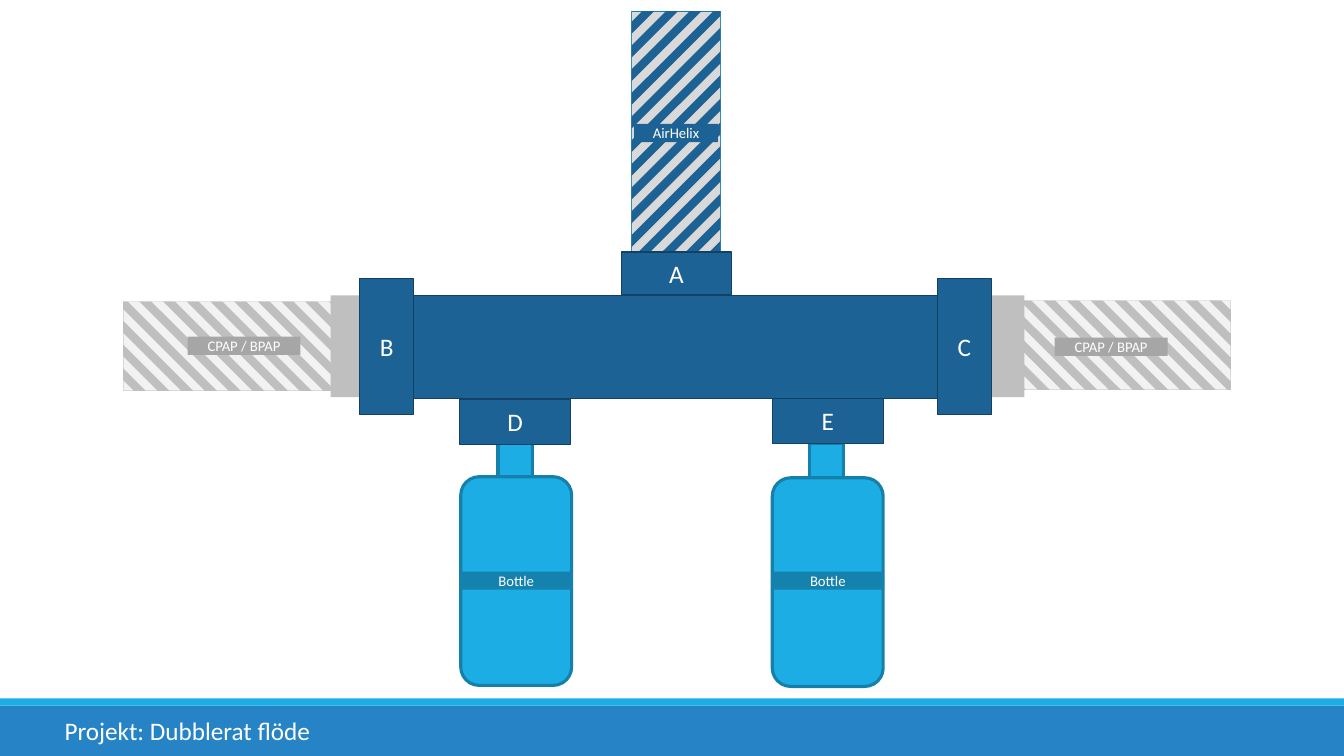
from lxml.etree import SubElement
from pptx import Presentation
from pptx.dml.color import RGBColor
from pptx.enum.shapes import MSO_CONNECTOR, MSO_SHAPE
from pptx.enum.text import MSO_ANCHOR, PP_ALIGN
from pptx.oxml.ns import qn
from pptx.util import Inches, Pt

COLORS = {
    "white": "FFFFFF", "bar": "2683C6", "sky": "1CADE4", "rim": "1580A9",
    "tag": "1482AC", "navy": "1D6294", "edge": "134163", "pale": "F2F2F2",
    "light": "D9D9D9", "gray": "BFBFBF", "dark": "A6A6A6",
}

deck = Presentation()
deck.slide_width = Inches(13.33)
deck.slide_height = Inches(7.5)
slide = deck.slides.add_slide(deck.slide_layouts[6])


def write(frame, text, size=18, align=PP_ALIGN.CENTER, wrap=True):
    frame.word_wrap = wrap
    frame.vertical_anchor = MSO_ANCHOR.MIDDLE
    frame.margin_left = frame.margin_right = 0
    frame.margin_top = frame.margin_bottom = 0
    para = frame.paragraphs[0]
    para.alignment = align
    run = para.add_run()
    run.text = text
    run.font.name = "Calibri"
    run.font.size = Pt(size)
    run.font.color.rgb = RGBColor.from_string(COLORS["white"])


def block(box, fill, line=None, width=0.75, kind=MSO_SHAPE.RECTANGLE):
    shape = slide.shapes.add_shape(kind, *[Inches(v) for v in box])
    shape.shadow.inherit = False
    shape.fill.solid()
    shape.fill.fore_color.rgb = RGBColor.from_string(COLORS[fill])
    if line:
        shape.line.color.rgb = RGBColor.from_string(COLORS[line])
        shape.line.width = Pt(width)
    else:
        shape.line.fill.background()
    return shape


block((0, 7, 13.33, 0.5), "bar")
block((0, 6.93, 13.33, 0.07), "sky")
title = slide.shapes.add_textbox(Inches(0.64), Inches(7.05), Inches(2.47), Inches(0.4))
write(title.text_frame, "Projekt: Dubblerat flöde", align=PP_ALIGN.LEFT, wrap=False)
block((0.54, 0.53, 12.15, 2.01), "white")

hoses = [
    ((9.83, 2.98, 2.38, 0.89), "pale", "light", "gray", 1, -9.07, 13, "LR"),
    ((1.22, 2.99, 2.39, 0.89), "pale", "light", "gray", 1, -0.33, 13, "L"),
    ((6.26, 0.11, 0.89, 2.39), "light", "rim", "navy", -1, 6.54, 14, "LR"),
]
for box, fill, line, band, slope, start, count, sides in hoses:
    x, y, w, h = box
    block(box, fill, line, 1.25)
    for i in range(count):
        shift = start + 0.235 * i
        low, high = sorted(slope * (v - shift) for v in (y - 0.03, y + h + 0.03))
        ends = max(x - 0.03, low), min(x + w + 0.03, high)
        points = [v for end in ends for v in (end, slope * end + shift)]
        stripe = slide.shapes.add_connector(
            MSO_CONNECTOR.STRAIGHT, *[Inches(v) for v in points])
        stripe.line.color.rgb = RGBColor.from_string(COLORS[band])
        stripe.line.width = Pt(6)
        SubElement(stripe._element.spPr, qn("a:effectLst"))
    thick, deep = (0.1, 0.08) if w > h else (0.08, 0.1)
    wide, tall = max(w, 0.98), max(h, 0.98)
    for top in (y - deep, y + h):
        block((x + (w - wide) / 2, top, wide, deep), "white")
    for side in sides:
        left = x - thick if side == "L" else x + w
        block((left, y + (h - tall) / 2, thick, tall), "white")

for left in (3.28, 9.76):
    block((left, 2.93, 0.4, 1.01), "gray")

for left, top in ((4.57, 4.73), (7.66, 4.74)):
    block((left, top, 1.1, 2.07), "sky", "rim", 2.25, MSO_SHAPE.ROUNDED_RECTANGLE)
    block((left + 0.37, top - 0.34, 0.34, 0.34), "sky", "rim", 2.25)

block((4.1, 2.93, 5.21, 1.02), "navy", "edge")
ports = [
    ("A", (6.16, 2.5, 1.1, 0.42)),
    ("C", (9.3, 2.76, 0.53, 1.35)),
    ("B", (3.57, 2.76, 0.53, 1.35)),
    ("D", (4.56, 3.96, 1.1, 0.45)),
    ("E", (7.66, 3.95, 1.1, 0.45)),
]
for name, box in ports:
    write(block(box, "navy", "edge").text_frame, name)

labels = [
    ("CPAP / BPAP", (10.46, 3.35, 1.12, 0.18), "dark"),
    ("CPAP / BPAP", (1.86, 3.34, 1.12, 0.18), "dark"),
    ("AirHelix", (6.29, 1.23, 0.83, 0.18), "navy"),
    ("Bottle", (4.56, 5.67, 1.12, 0.18), "tag"),
    ("Bottle", (7.65, 5.67, 1.12, 0.18), "tag"),
]
for text, box, fill in labels:
    write(block(box, fill).text_frame, text, size=10.5)

deck.save("out.pptx")
